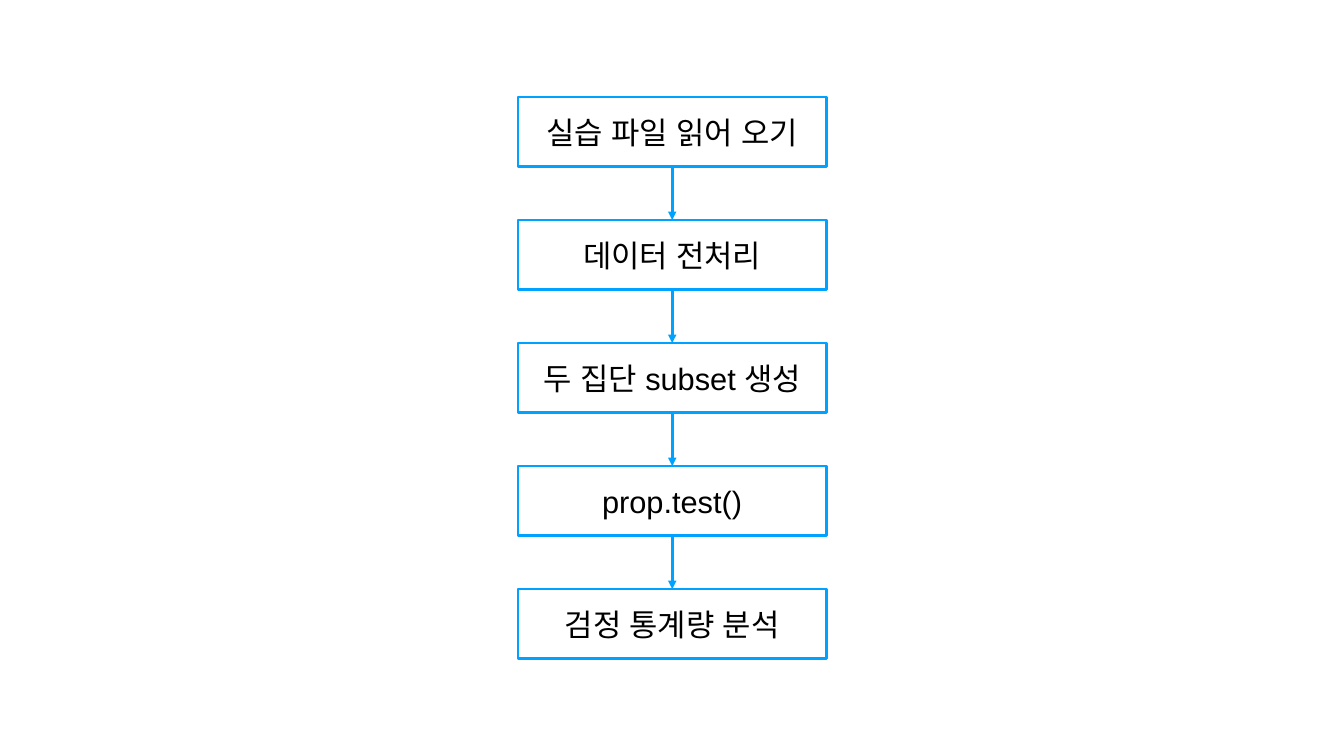
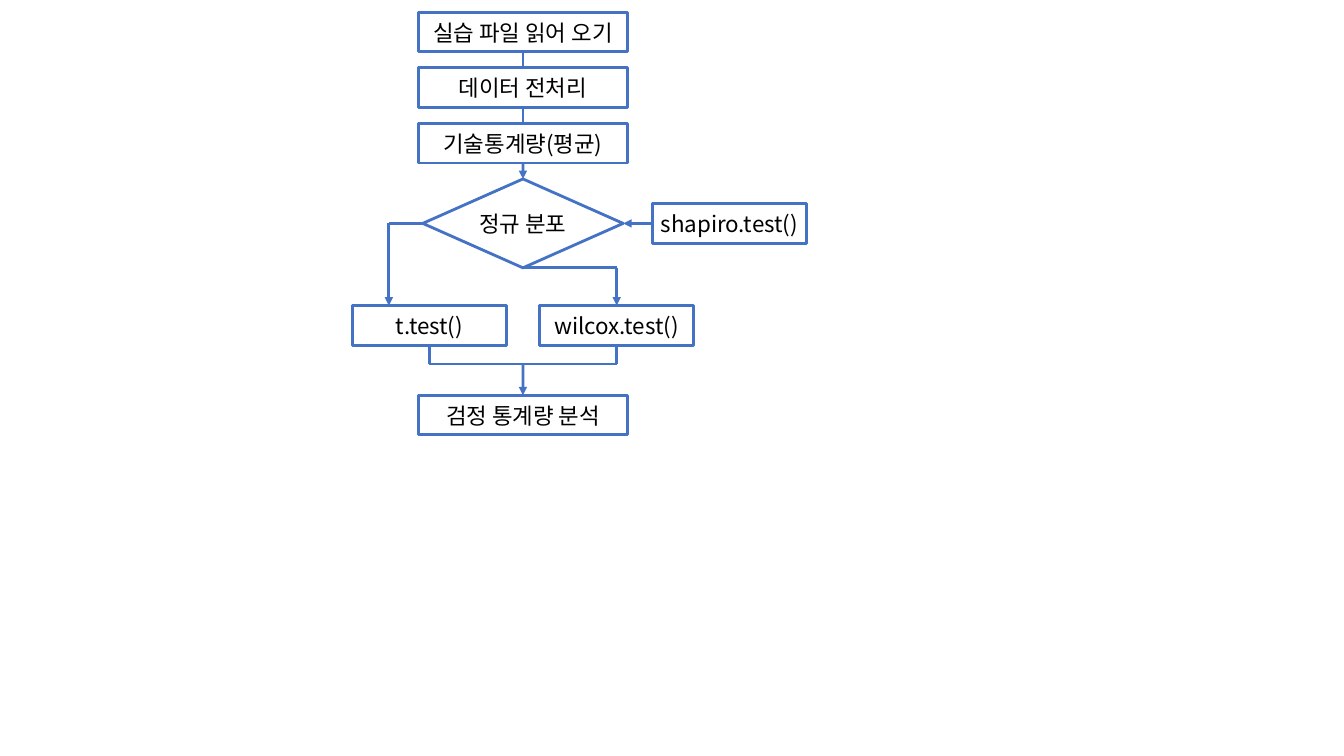
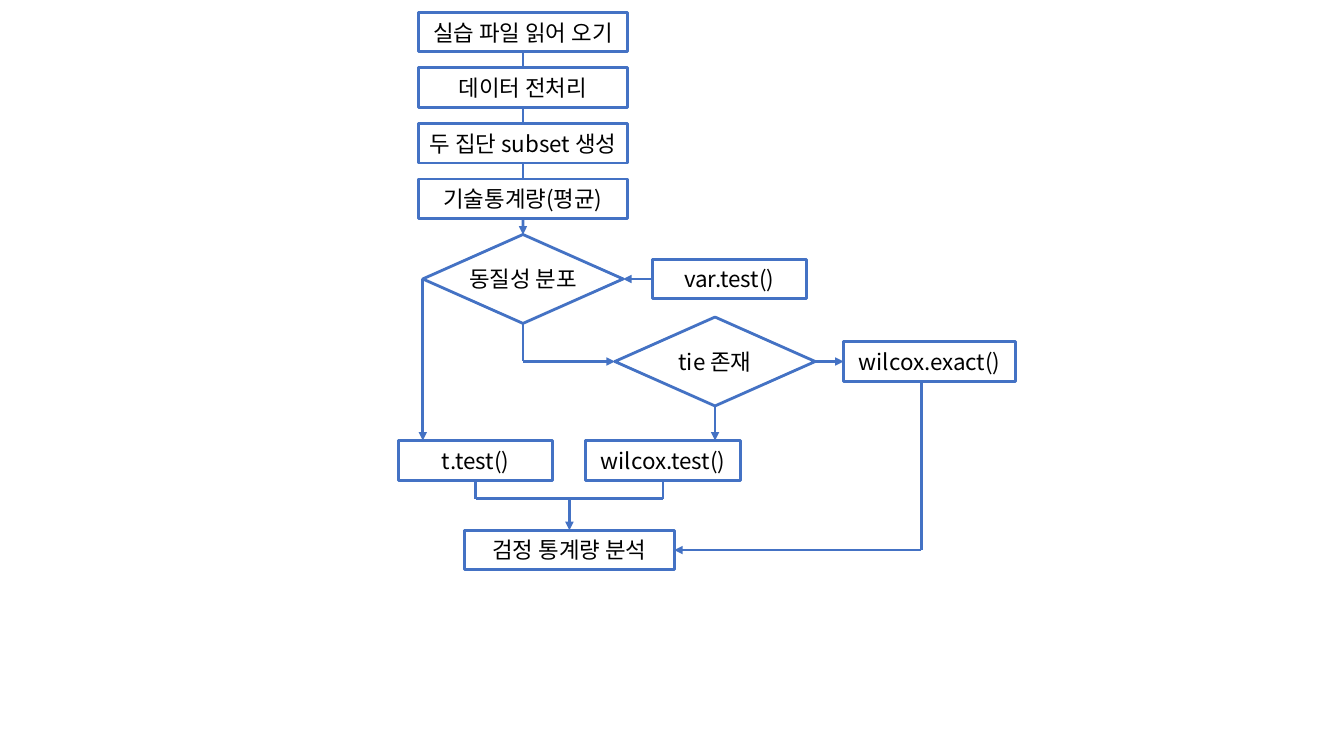
"""Build three flowcharts of statistical test procedures."""
from dataclasses import dataclass
from typing import Any

from lxml import etree
from pptx import Presentation
from pptx.dml.color import RGBColor
from pptx.enum.shapes import MSO_CONNECTOR, MSO_SHAPE
from pptx.enum.text import MSO_ANCHOR, PP_ALIGN
from pptx.oxml.ns import qn
from pptx.util import Cm, Pt

RECTANGLE, DIAMOND = MSO_SHAPE.RECTANGLE, MSO_SHAPE.DIAMOND
STRAIGHT = MSO_CONNECTOR.STRAIGHT
MIDDLE, CENTER = MSO_ANCHOR.MIDDLE, PP_ALIGN.CENTER
TOP, LEFT, BOTTOM, RIGHT = range(4)

COLORS = {"sky": "00A2FF", "blue": "4472C4", "white": "FFFFFF", "black": "000000"}
LINE_WIDTH = 2
STEP_SIZE = (5.28, 1)
TEST_SIZE = (3.89, 1)
EXACT_SIZE = (4.34, 1)
DECISION_SIZE = (5.05, 2.24)
STEP_X = 13.18
TEST_X = 18.38
FIRST_STEP_Y = 0.81
STEP_PITCH = 1.4
BRANCH_OFFSET = 2.36


@dataclass
class Style:
    """Look of one flowchart."""
    line: str
    font: str
    size: int
    inset: float
    fill: Any = None


@dataclass
class Port:
    """Point in centimetres, or the middle of a node's side."""
    x: float
    y: float
    node: Any = None
    side: int = TOP


LARGE = Style("sky", "Arial", 22, 0.15)
COMPACT = Style("blue", "Noto Sans CJK KR", 16, 0.12, "white")


def color(name):
    """Return a named colour."""
    return RGBColor.from_string(COLORS[name])


def add_node(page, style, text, x, y, size, kind=RECTANGLE):
    """Add a labelled shape centred on x, y."""
    width, height = size
    node = page.shapes.add_shape(kind, Cm(x - width / 2), Cm(y - height / 2),
                                 Cm(width), Cm(height))
    node.shadow.inherit = False
    if style.fill:
        node.fill.solid()
        node.fill.fore_color.rgb = color(style.fill)
    else:
        node.fill.background()
    node.line.color.rgb = color(style.line)
    node.line.width = Pt(LINE_WIDTH)
    frame = node.text_frame
    frame.word_wrap = False
    frame.vertical_anchor = MIDDLE
    frame.margin_left = frame.margin_right = Cm(style.inset)
    frame.margin_top = frame.margin_bottom = Cm(style.inset)
    para = frame.paragraphs[0]
    para.alignment = CENTER
    span = para.add_run()
    span.text = text
    span.font.size = Pt(style.size)
    span.font.color.rgb = color("black")
    span.font.name = style.font
    etree.SubElement(span.font._element, qn("a:ea"), typeface=style.font)
    return node


def port(node, side):
    """Return the middle of one side of a node."""
    across, down = {TOP: (0.5, 0), LEFT: (0, 0.5),
                    BOTTOM: (0.5, 1), RIGHT: (1, 0.5)}[side]
    return Port((node.left + across * node.width) / Cm(1),
                (node.top + down * node.height) / Cm(1), node, side)


def add_line(page, style, start, end, arrow):
    """Draw one straight segment, joined to nodes where it meets them."""
    line = page.shapes.add_connector(STRAIGHT, Cm(start.x), Cm(start.y),
                                     Cm(end.x), Cm(end.y))
    if start.node is not None:
        line.begin_connect(start.node, start.side)
    if end.node is not None:
        line.end_connect(end.node, end.side)
    line.line.color.rgb = color(style.line)
    line.line.width = Pt(LINE_WIDTH)
    properties = line._element.spPr
    if arrow:
        etree.SubElement(properties.find(qn("a:ln")), qn("a:tailEnd"), type="triangle")
    etree.SubElement(properties, qn("a:effectLst"))


def add_route(page, style, *ports, arrow=True):
    """Draw a line through the ports, with an arrowhead at the last one."""
    last = len(ports) - 2
    for index, (start, end) in enumerate(zip(ports, ports[1:])):
        add_line(page, style, start, end, arrow and index == last)


def add_steps(page, labels):
    """Stack the opening steps and return the last of them."""
    previous = None
    for index, label in enumerate(labels):
        step = add_node(page, COMPACT, label, STEP_X,
                        FIRST_STEP_Y + index * STEP_PITCH, STEP_SIZE)
        if previous is not None:
            add_route(page, COMPACT, port(previous, BOTTOM), port(step, TOP), arrow=False)
        previous = step
    return previous


def add_check(page, labels, question, test):
    """Add the steps, the decision below them and the test that feeds it."""
    last_step = add_steps(page, labels)
    y = FIRST_STEP_Y + len(labels) * STEP_PITCH - STEP_SIZE[1] / 2 + DECISION_SIZE[1] / 2
    decision = add_node(page, COMPACT, question, STEP_X, y, DECISION_SIZE, DIAMOND)
    test_box = add_node(page, COMPACT, test, TEST_X, y, TEST_SIZE)
    add_route(page, COMPACT, port(last_step, BOTTOM), port(decision, TOP))
    add_route(page, COMPACT, port(test_box, LEFT), port(decision, RIGHT))
    return decision


def add_merge(page, x, y):
    """Add the two alternative tests joining into the result."""
    t_test = add_node(page, COMPACT, "t.test()", x - BRANCH_OFFSET, y, TEST_SIZE)
    wilcox = add_node(page, COMPACT, "wilcox.test()", x + BRANCH_OFFSET, y, TEST_SIZE)
    result = add_node(page, COMPACT, "검정 통계량 분석", x, y + 2.26, STEP_SIZE)
    bar_y = y + 0.97
    left, right = port(t_test, BOTTOM), port(wilcox, BOTTOM)
    add_route(page, COMPACT, left, Port(left.x, bar_y), Port(right.x, bar_y), right,
              arrow=False)
    add_route(page, COMPACT, Port(x, bar_y), port(result, TOP))
    return t_test, wilcox, result


def build_proportion(page):
    """Show the steps of a two-group proportion test."""
    labels = ["실습 파일 읽어 오기", "데이터 전처리", "두 집단 subset 생성",
              "prop.test()", "검정 통계량 분석"]
    boxes = [add_node(page, LARGE, label, 16.94, 3.32 + index * 3.1, (7.77, 1.75))
             for index, label in enumerate(labels)]
    for upper, lower in zip(boxes, boxes[1:]):
        add_route(page, LARGE, port(upper, BOTTOM), port(lower, TOP))


def build_one_sample(page):
    """Show the choice of a one-sample mean test."""
    labels = ["실습 파일 읽어 오기", "데이터 전처리", "기술통계량(평균)"]
    normality = add_check(page, labels, "정규 분포", "shapiro.test()")
    t_test, wilcox, _ = add_merge(page, STEP_X, 8.2)
    left, bottom = port(normality, LEFT), port(normality, BOTTOM)
    add_route(page, COMPACT, left, Port(9.8, left.y), Port(9.8, port(t_test, TOP).y))
    target = port(wilcox, TOP)
    add_route(page, COMPACT, bottom, Port(target.x, bottom.y), target)


def build_two_sample(page):
    """Show the choice of a two-sample mean test."""
    labels = ["실습 파일 읽어 오기", "데이터 전처리", "두 집단 subset 생성",
              "기술통계량(평균)"]
    equality = add_check(page, labels, "동질성 분포", "var.test()")
    t_test, wilcox, result = add_merge(page, 14.35, 11.6)
    tie = add_node(page, COMPACT, "tie 존재", 18.02, 9.11, DECISION_SIZE, DIAMOND)
    exact = add_node(page, COMPACT, "wilcox.exact()", 23.43, 9.11, EXACT_SIZE)
    left, bottom = port(equality, LEFT), port(equality, BOTTOM)
    add_route(page, COMPACT, left, Port(left.x, port(t_test, TOP).y))
    entry = port(tie, LEFT)
    add_route(page, COMPACT, bottom, Port(bottom.x, entry.y), entry)
    add_route(page, COMPACT, port(tie, RIGHT), port(exact, LEFT))
    exit_port = port(tie, BOTTOM)
    add_route(page, COMPACT, exit_port, Port(exit_port.x, port(wilcox, TOP).y))
    target = port(result, RIGHT)
    add_route(page, COMPACT, Port(23.22, port(exact, BOTTOM).y),
              Port(23.22, target.y), target)


def main():
    """Build and save the deck."""
    deck = Presentation()
    deck.slide_width, deck.slide_height = Cm(33.87), Cm(19.05)
    blank = deck.slide_layouts[6]
    for build in (build_proportion, build_one_sample, build_two_sample):
        build(deck.slides.add_slide(blank))
    deck.save("out.pptx")


if __name__ == "__main__":
    main()
